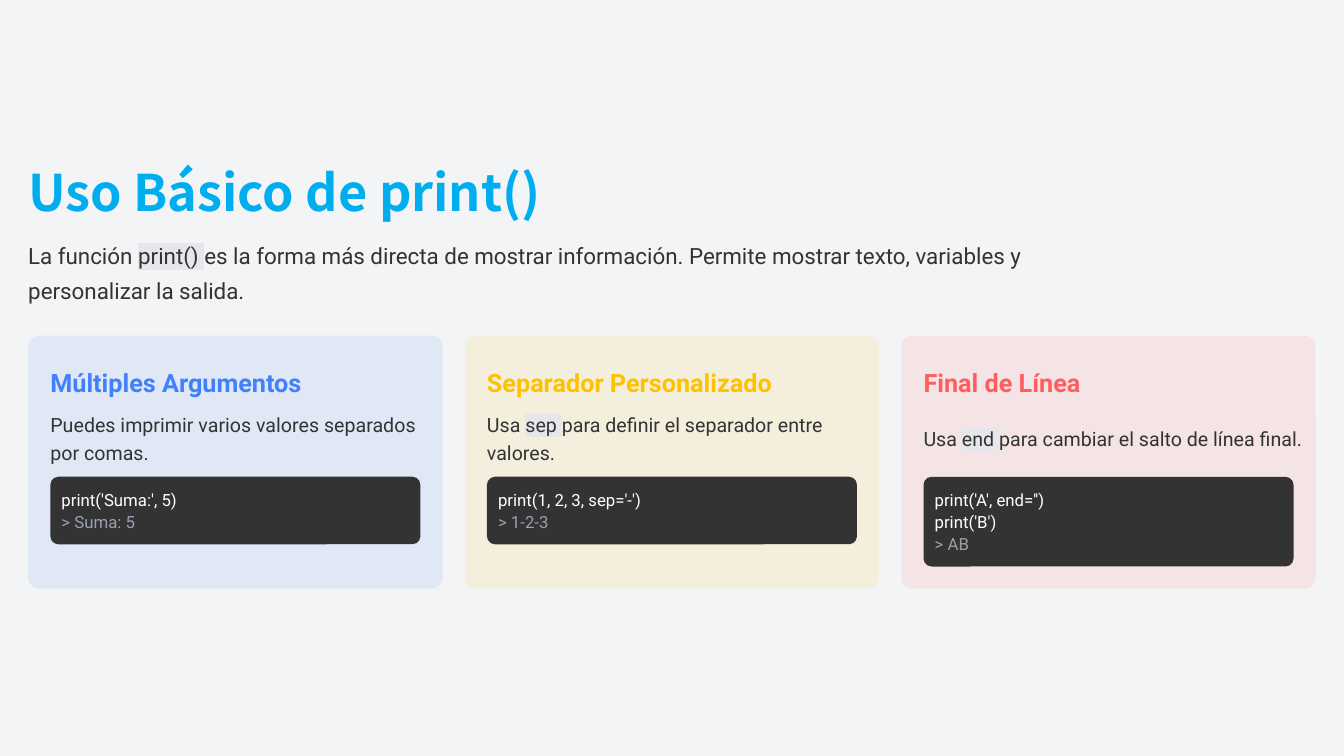
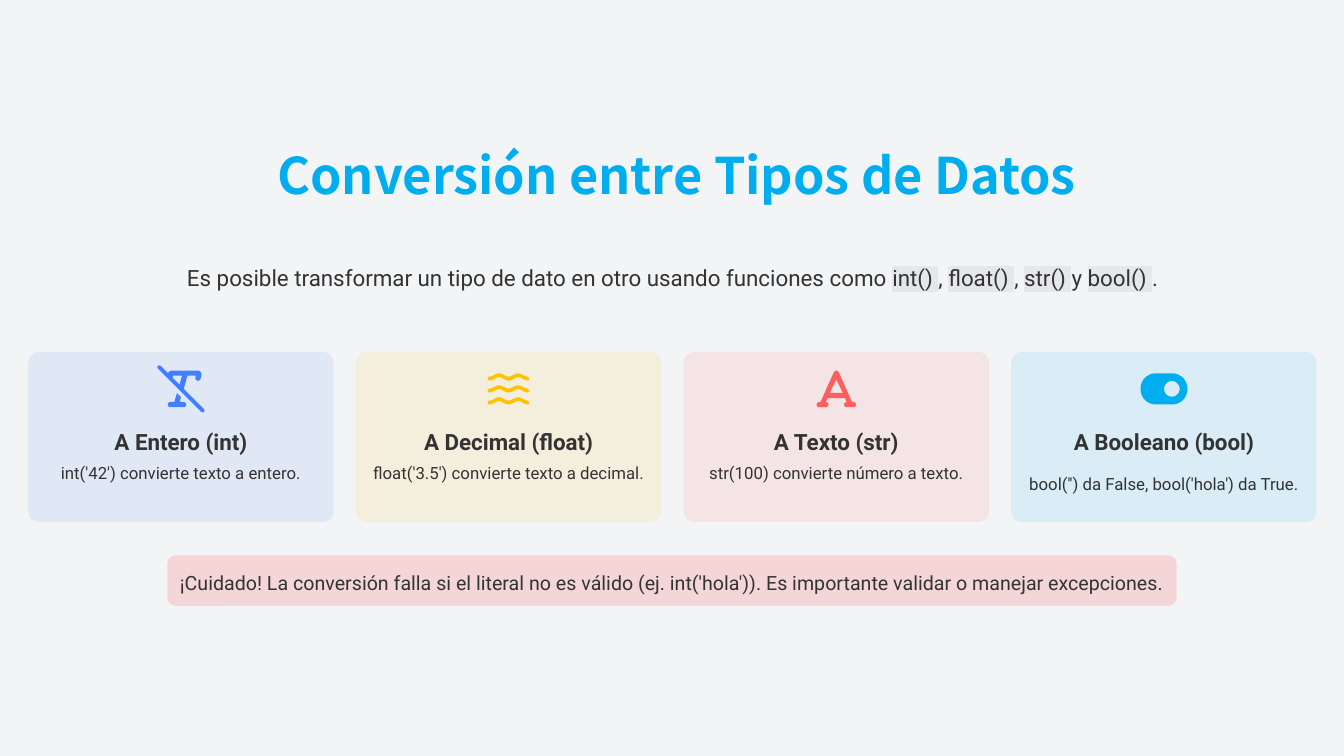
from math import cos, pi, radians, sin

from lxml.etree import SubElement
from pptx import Presentation
from pptx.dml.color import RGBColor
from pptx.enum.shapes import MSO_SHAPE as SHAPE
from pptx.enum.text import MSO_ANCHOR as ANCHOR, PP_ALIGN as ALIGN
from pptx.oxml import parse_xml
from pptx.oxml.ns import nsdecls, qn
from pptx.util import Pt

PX = 9144            # 100 px to the inch
ICON_UNIT = 744      # icons are drawn on a grid 512 units high
W, H = 1333, 750
MARGIN = 28
HEAD, BODY = "Noto Sans CJK SC", "Roboto"
PAGE, INK, WHITE, GREY, MARK = "F3F4F6", "333333", "FFFFFF", "99A1AF", "E5E7EB"
CYAN, BLUE, YELLOW, RED = "00AEEF", "4080FF", "FFC200", "FF5E5E"
rgb = RGBColor.from_string


def add_text(shapes, x, y, w, h, lines, size, spacing, font=BODY, bold=False,
             align=ALIGN.LEFT):
    """Add (text, colour) lines; words between backticks are highlighted."""
    tf = shapes.add_textbox(x * PX, y * PX, w * PX, h * PX).text_frame
    tf.word_wrap = True
    tf.vertical_anchor = ANCHOR.MIDDLE
    tf.margin_left = tf.margin_right = tf.margin_top = tf.margin_bottom = 0
    for i, (text, color) in enumerate(lines):
        p = tf.add_paragraph() if i else tf.paragraphs[0]
        p.alignment, p.line_spacing = align, spacing
        for j, part in enumerate(text.split("`")):
            r = p.add_run()
            r.text = part
            r.font.name, r.font.size, r.font.bold = font, Pt(size), bold
            r.font.color.rgb = rgb(color)
            if j % 2:
                r.font._element.find(qn("a:solidFill")).addnext(parse_xml(
                    f'<a:highlight {nsdecls("a")}><a:srgbClr val="{MARK}"/></a:highlight>'))


def add_panel(shapes, x, y, w, h, radius, color, opacity=100):
    s = shapes.add_shape(SHAPE.ROUNDED_RECTANGLE, x * PX, y * PX, w * PX, h * PX)
    s.adjustments[0] = radius / min(w, h)
    s.shadow.inherit = False
    s.line.fill.background()
    s.fill.solid()
    s.fill.fore_color.rgb = rgb(color)
    if opacity < 100:
        clr = s.fill._xPr.find(qn("a:solidFill")).find(qn("a:srgbClr"))
        SubElement(clr, qn("a:alpha"), val=str(opacity * 1000))


prs = Presentation()
prs.slide_width, prs.slide_height = W * PX, H * PX
background = prs.slide_master.background.fill
background.solid()
background.fore_color.rgb = rgb(PAGE)
blank = prs.slide_layouts[6]

# Slide 1: print()
shapes = prs.slides.add_slide(blank).shapes
add_text(shapes, MARGIN, 166, 1303, 56, [("Uso Básico de print()", CYAN)], 36, 0.9, HEAD, True)
add_text(shapes, MARGIN, 233, 1078, 67, [(
    "La función `print() `es la forma más directa de mostrar información. "
    "Permite mostrar texto, variables y personalizar la salida.", INK)], 16, 1.3)

usages = [
    ("Múltiples Argumentos", BLUE, "Puedes imprimir varios valores separados por comas.",
     ["print('Suma:', 5)"], "> Suma: 5"),
    ("Separador Personalizado", YELLOW, "Usa `sep `para definir el separador entre valores.",
     ["print(1, 2, 3, sep='-')"], "> 1-2-3"),
    ("Final de Línea", RED, "Usa `end `para cambiar el salto de línea final.",
     ["print('A', end='')", "print('B')"], "> AB"),
]
card_w, gap, pad, line_h = 411, 22, 22, 22
for i, (heading, color, description, code, output) in enumerate(usages):
    x = MARGIN + i * (card_w + gap)
    add_panel(shapes, x, 333, card_w, 251, 11, color, 10)
    add_text(shapes, x + pad, 355, 379, 39, [(heading, color)], 18, 1.3, bold=True)
    add_text(shapes, x + pad, 405, 376, 56, [(description, INK)], 14, 1.2)
    lines = [(line, WHITE) for line in code] + [(output, GREY)]
    code_h = line_h * len(lines)
    add_panel(shapes, x + pad, 473, card_w - 2 * pad, code_h + 23, 8, INK)
    add_text(shapes, x + pad + 11, 484, 353, code_h, lines, 12, 1.1)

# Slide 2: type conversion
shapes = prs.slides.add_slide(blank).shapes
add_text(shapes, 275, 149, 808, 56, [("Conversión entre Tipos de Datos", CYAN)],
         36, 0.9, HEAD, True)
add_text(shapes, 128, 238, 1078, 67, [(
    "Es posible transformar un tipo de dato en otro usando funciones como "
    "`int() `, `float() `, `str() `y `bool() `.", INK)], 16, 1.3, align=ALIGN.CENTER)

# Icon outlines: rounded bars first, each from x1 to x2 around y with radius r
angles = [radians(a + 7.5) for a in range(0, 360, 15)]
foot, left_serif, right_serif, switch, knob = [
    [((x2 if cos(a) > 0 else x1) + r * cos(a), y + r * sin(a)) for a in angles]
    for x1, x2, y, r in [(160, 320, 448, 32), (48, 128, 448, 32), (384, 464, 448, 32),
                         (192, 384, 256, 192), (384, 384, 256, 96)]]
slashed_t = [
    [(41, -25), (24, -32), (7, -25), (0, -8), (7, 9), (535, 537), (552, 544), (569, 537),
     (576, 520), (569, 503), (322, 256), (367, 96), (470, 96), (464, 120), (468, 142),
     (488, 158), (512, 154), (527, 136), (538, 96), (538, 66), (522, 42), (496, 32),
     (176, 32), (148, 42), (130, 64)],
    [(187, 121), (192, 96), (301, 96), (271, 205)],
    [(240, 309), (208, 416), (275, 416), (288, 357)],
    foot,
]
letter_a = [
    [(286, 53), (274, 38), (256, 32), (238, 38), (226, 53), (64, 416), (128, 416),
     (149, 368), (363, 368), (384, 416), (448, 416)],
    [(335, 304), (177, 304), (256, 140)],
    left_serif, right_serif,
]
wave_xs = range(24, 489, 8)
waves = []
for mid in (110, 256, 402):
    curve = [(x, mid + 20 * cos(2 * pi * (x - 24) / 232)) for x in wave_xs]
    top = [(x, y - 24) for x, y in curve]
    bottom = [(x, y + 24) for x, y in reversed(curve)]
    waves.append([*top, (506, 115 + mid - 93), (512, mid + 20), (506, mid + 38),
                  *bottom, (6, mid + 38), (0, mid + 20), (6, mid + 2)])

conversions = [
    ("A Entero (int)", "int('42') convierte texto a entero.", BLUE, slashed_t, 576, 22),
    ("A Decimal (float)", "float('3.5') convierte texto a decimal.", YELLOW, waves, 512, 22),
    ("A Texto (str)", "str(100) convierte número a texto.", RED, letter_a, 512, 22),
    ("A Booleano (bool)", "bool('') da False, bool('hola') da True.", CYAN,
     [switch, knob], 576, 44),
]
card_w = 303
for i, (heading, example, color, outlines, icon_w, example_h) in enumerate(conversions):
    x = MARGIN + i * (card_w + gap)
    add_panel(shapes, x, 349, card_w, 169, 11, color, 10)

    pen = shapes.build_freeform(*outlines[0][0], scale=ICON_UNIT)
    pen.add_line_segments(outlines[0][1:])
    for outline in outlines[1:]:
        pen.move_to(*outline[0])
        pen.add_line_segments(outline[1:])
    icon_x = x * PX + (card_w * PX - icon_w * ICON_UNIT) // 2
    icon = pen.convert_to_shape(icon_x, 365 * PX)
    icon.shadow.inherit = False
    icon.line.fill.background()
    icon.fill.solid()
    icon.fill.fore_color.rgb = rgb(color)

    add_text(shapes, x, 418, card_w, 33, [(heading, INK)], 16, 1.3, bold=True,
             align=ALIGN.CENTER)
    add_text(shapes, x, 457, card_w, example_h, [(example, INK)], 12, 1.1,
             align=ALIGN.CENTER)

add_panel(shapes, 166, 551, 1001, 50, 8, RED, 20)
add_text(shapes, 172, 551, 989, 50, [(
    "¡Cuidado! La conversión falla si el literal no es válido (ej. int('hola')). "
    "Es importante validar o manejar excepciones.", INK)], 14, 1.2, align=ALIGN.CENTER)

prs.save("out.pptx")
